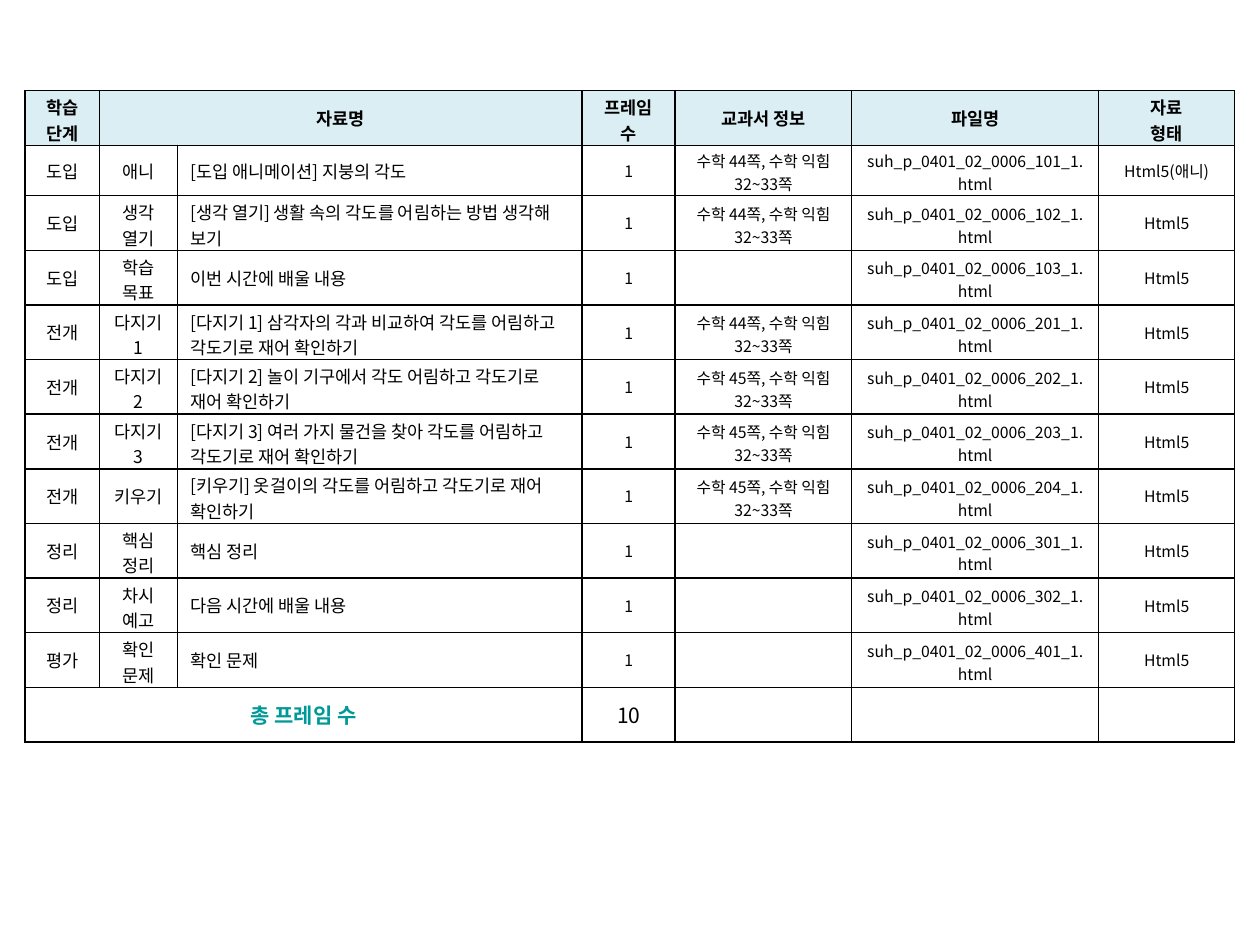
"""Builds a lesson material list as one bordered table."""
from lxml import etree
from pptx import Presentation
from pptx.dml.color import RGBColor
from pptx.enum.text import MSO_ANCHOR, PP_ALIGN
from pptx.oxml.ns import qn
from pptx.util import Inches, Pt

LEFT, CENTER, MIDDLE = PP_ALIGN.LEFT, PP_ALIGN.CENTER, MSO_ANCHOR.MIDDLE
FONT = "Noto Sans CJK KR"
COLORS = {"text": "000000", "header": "DBEEF4", "total": "009999", "border": "000000"}

HEADER = ["학습 단계", "자료명", "", "프레임 수", "교과서 정보", "파일명", "자료\n형태"]
LESSONS = [
    ("도입", "애니", "[도입 애니메이션] 지붕의 각도", 44, 101),
    ("도입", "생각 열기", "[생각 열기] 생활 속의 각도를 어림하는 방법 생각해 보기", 44, 102),
    ("도입", "학습 목표", "이번 시간에 배울 내용", None, 103),
    ("전개", "다지기1", "[다지기 1] 삼각자의 각과 비교하여 각도를 어림하고 각도기로 재어 확인하기", 44, 201),
    ("전개", "다지기 2", "[다지기 2] 놀이 기구에서 각도 어림하고 각도기로 재어 확인하기", 45, 202),
    ("전개", "다지기 3", "[다지기 3] 여러 가지 물건을 찾아 각도를 어림하고 각도기로 재어 확인하기", 45, 203),
    ("전개", "키우기", "[키우기] 옷걸이의 각도를 어림하고 각도기로 재어 확인하기", 45, 204),
    ("정리", "핵심 정리", "핵심 정리", None, 301),
    ("정리", "차시 예고", "다음 시간에 배울 내용", None, 302),
    ("평가", "확인 문제", "확인 문제", None, 401),
]
TOTAL = ["총 프레임 수", "", "", str(len(LESSONS)), "", "", ""]

COLUMNS = [0.59, 0.62, 3.21, 0.74, 1.4, 1.96, 1.08]
LINE_LIMITS = [4, 3, 25, 4, 8, 8, 12]
LEFT_EDGE, TOP, HEIGHT, INTRO_ROW = 0.2, 0.72, 5.17, 0.4
TIGHT_MARGINS = {"margin_top": Inches(0.03), "margin_bottom": 0}
MERGES = [((0, 1), (0, 2)), ((len(LESSONS) + 1, 0), (len(LESSONS) + 1, 2))]


def lesson_row(stage, step, title, page, number):
    book = f"수학 {page}쪽, 수학 익힘 32~33쪽" if page else ""
    kind = "Html5(애니)" if step == "애니" else "Html5"
    return [stage, step, title, "1", book, f"suh_p_0401_02_0006_{number}_1.html", kind]


def cell_format(row, col, last):
    if row == 0:
        return {"size": Pt(10), "bold": True}, "text"
    if row == last:
        return {"size": Pt(12), "bold": col == 0}, "total" if col == 0 else "text"
    return {"size": Pt(10 if col < 3 else 9), "bold": False}, "text"


def add_borders(cell):
    tcPr = cell._tc.get_or_add_tcPr()
    for i, side in enumerate(("a:lnL", "a:lnR", "a:lnT", "a:lnB")):
        ln = etree.Element(qn(side), w=str(Pt(1)))
        fill = etree.SubElement(ln, qn("a:solidFill"))
        etree.SubElement(fill, qn("a:srgbClr"), val=COLORS["border"])
        tcPr.insert(i, ln)


def write_cell(cell, text, align, font_format, color):
    cell.vertical_anchor = MIDDLE
    tf = cell.text_frame
    for i, line in enumerate(text.split("\n")):
        p = tf.paragraphs[0] if i == 0 else tf.add_paragraph()
        p.alignment = align
        if not line:
            p.font.size = font_format["size"]
            continue
        r = p.add_run()
        r.text = line
        for name, value in {"name": FONT, **font_format}.items():
            setattr(r.font, name, value)
        r.font.color.rgb = RGBColor.from_string(COLORS[color])
        rPr = r._r.get_or_add_rPr()
        rPr.set("kern", "0")
        etree.SubElement(rPr, qn("a:ea"), typeface=FONT)


def main():
    prs = Presentation()
    prs.slide_width, prs.slide_height = Inches(10), Inches(7.5)
    s = prs.slides.add_slide(prs.slide_layouts[6])
    rows = [HEADER, *(lesson_row(*lesson) for lesson in LESSONS), TOTAL]
    last = len(rows) - 1
    table = s.shapes.add_table(
        len(rows), len(COLUMNS), Inches(LEFT_EDGE), Inches(TOP),
        Inches(sum(COLUMNS)), Inches(HEIGHT)).table
    table.first_row = table.horz_banding = False
    for col, width in enumerate(COLUMNS):
        table.columns[col].width = Inches(width)
    for row, texts in enumerate(rows):
        table.rows[row].height = Inches(INTRO_ROW if row == 1 else (HEIGHT - INTRO_ROW) / last)
        for col, text in enumerate(texts):
            cell = table.cell(row, col)
            align = LEFT if col == 2 and 0 < row < last else CENTER
            write_cell(cell, text, align, *cell_format(row, col, last))
            if row < last and ("\n" in text or len(text) > LINE_LIMITS[col]):
                for name, value in TIGHT_MARGINS.items():
                    setattr(cell, name, value)
            if row == 0:
                cell.fill.solid()
                cell.fill.fore_color.rgb = RGBColor.from_string(COLORS["header"])
            else:
                cell.fill.background()
            add_borders(cell)
    for start, end in MERGES:
        table.cell(*start).merge(table.cell(*end))
    prs.save("out.pptx")


if __name__ == "__main__":
    main()
